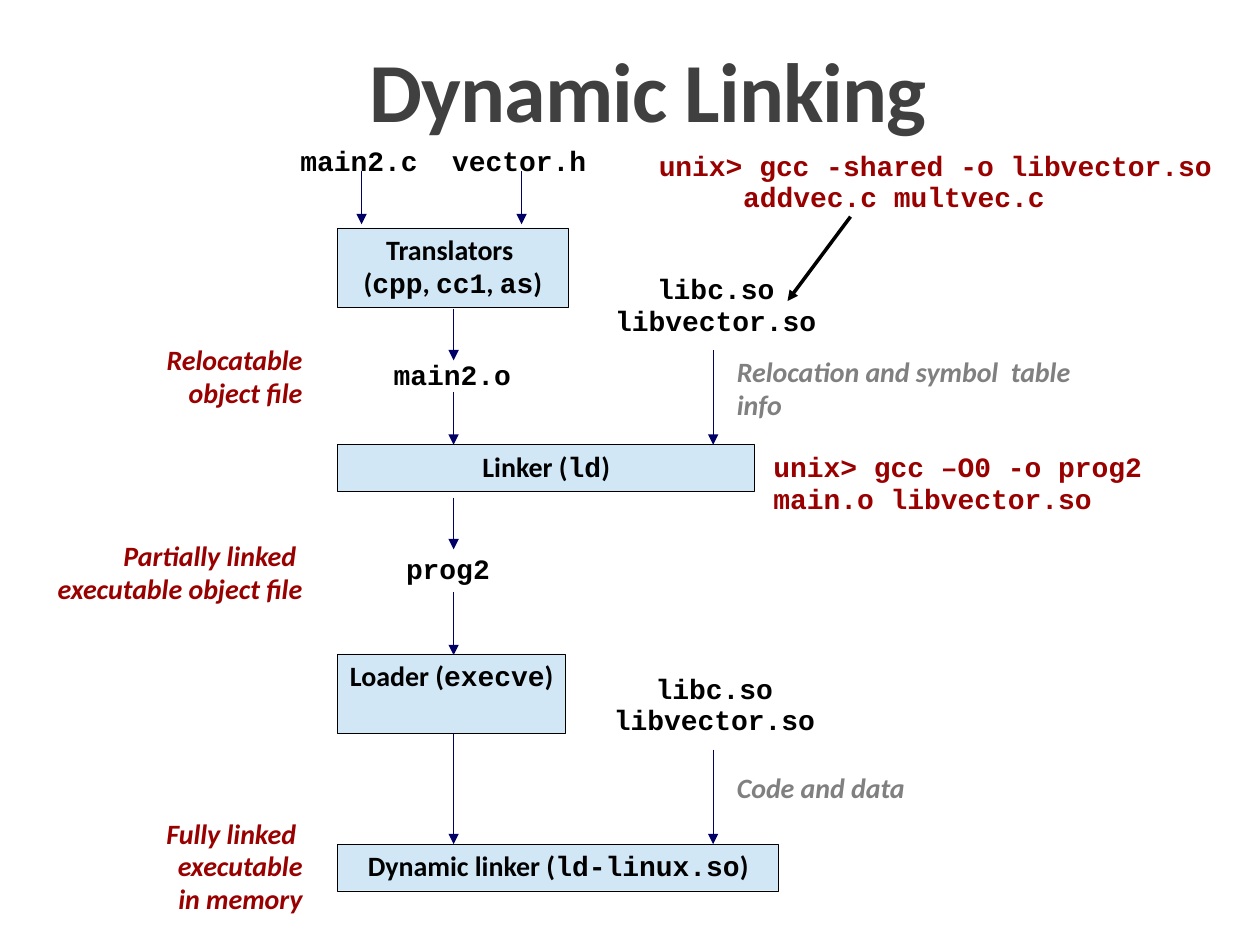
from lxml.etree import SubElement
from pptx import Presentation
from pptx.dml.color import RGBColor
from pptx.enum.shapes import MSO_CONNECTOR, MSO_SHAPE
from pptx.enum.text import MSO_ANCHOR, PP_ALIGN
from pptx.oxml.ns import qn
from pptx.util import Inches, Pt

BODY, CODE = "Calibri", "Courier New"
BLACK, RED, GRAY, NAVY, PALE_BLUE = "000000", "990000", "808080", "000066", "D1E7F6"
LEFT, CENTER, RIGHT = PP_ALIGN.LEFT, PP_ALIGN.CENTER, PP_ALIGN.RIGHT

# Stage boxes share a left edge: top, width, height, lines (code between backticks)
STAGE_LEFT = 2.68
STAGES = [
    (1.81, 1.83, 0.63, ["Translators ", "(`cpp`, `cc1`, `as`)"]),
    (3.53, 3.31, 0.37, ["Linker (`ld`)"]),
    (5.19, 1.81, 0.63, ["Loader (`execve`)"]),
    (6.70, 3.50, 0.37, ["Dynamic linker (`ld-linux.so`)"]),
]
LIBRARIES = ["libc.so", "libvector.so"]
# left, top, width, height, lines
FILES = [
    (2.28, 1.11, 1.14, 0.36, ["main2.c"]),
    (3.48, 1.11, 1.28, 0.36, ["vector.h"]),
    (3.02, 2.81, 1.14, 0.36, ["main2.o"]),
    (3.12, 4.35, 0.87, 0.36, ["prog2"]),
    (4.77, 2.13, 1.82, 0.61, LIBRARIES),
    (4.76, 5.30, 1.82, 0.61, LIBRARIES),
]
COMMANDS = [
    (5.13, 1.15, 4.92, 0.61, ["unix> gcc -shared -o libvector.so", "addvec.c multvec.c"]),
    (6.04, 3.54, 3.17, 0.61, ["unix> gcc –O0 -o prog2", "main.o libvector.so"]),
]
CONTINUATION_INDENT = 0.67
# Notes on the left end at one edge: top, width, height, lines
NOTE_RIGHT = 2.5
FILE_NOTES = [
    (2.68, 1.50, 0.63, ["Relocatable", "object file"]),
    (4.24, 2.75, 0.63, ["Partially linked ", "executable object file"]),
    (6.44, 1.92, 0.89, ["Fully linked ", "executable", "in memory"]),
]
LINK_NOTES = [
    (5.75, 2.78, 2.85, 0.63, ["Relocation and symbol  table info"]),
    (5.75, 6.08, 1.94, 0.37, ["Code and data"]),
]
# x, top, bottom
FLOW_ARROWS = [
    (2.87, 1.36, 1.78), (4.14, 1.36, 1.78),
    (3.60, 2.45, 2.86), (3.60, 3.11, 3.53), (3.60, 3.95, 4.36),
    (3.60, 4.70, 5.20), (3.60, 5.82, 6.70),
    (5.66, 2.78, 3.53), (5.66, 5.95, 6.70),
]


def color(value):
    """Turn a hex string into a colour."""
    return RGBColor.from_string(value)


def write(shape, lines, font=BODY, ink=BLACK, size=16, align=CENTER,
          italic=False, spacing=0.98):
    """Fill a shape with bold lines, setting backticked parts in the code font."""
    frame = shape.text_frame
    frame.word_wrap = align != CENTER
    frame.vertical_anchor = MSO_ANCHOR.TOP
    for index, line in enumerate(lines):
        paragraph = frame.paragraphs[0] if index == 0 else frame.add_paragraph()
        paragraph.alignment = align
        paragraph.line_spacing = spacing
        paragraph.font.size = Pt(size)
        paragraph.font.bold = True
        paragraph.font.italic = italic
        paragraph.font.color.rgb = color(ink)
        paragraph.font.name = font
        for part_index, part in enumerate(line.split("`")):
            run = paragraph.add_run()
            run.text = part
            if part_index % 2:
                run.font.name = CODE


def add_label(slide, left, top, width, height, lines, **style):
    """Add a text box and return it."""
    label = slide.shapes.add_textbox(*map(Inches, (left, top, width, height)))
    write(label, lines, **style)
    return label


def add_stage(slide, top, width, height, lines):
    """Add one processing stage box."""
    stage = slide.shapes.add_shape(
        MSO_SHAPE.RECTANGLE, *map(Inches, (STAGE_LEFT, top, width, height)))
    stage.shadow.inherit = False
    stage.fill.solid()
    stage.fill.fore_color.rgb = color(PALE_BLUE)
    stage.line.color.rgb = color(BLACK)
    stage.line.width = Pt(0.26)
    write(stage, lines)


def add_arrow(slide, start, end, ink=NAVY, width=0.26):
    """Add a straight arrow from start to end."""
    arrow = slide.shapes.add_connector(
        MSO_CONNECTOR.STRAIGHT, *map(Inches, start + end))
    arrow.line.color.rgb = color(ink)
    arrow.line.width = Pt(width)
    SubElement(arrow.line._get_or_add_ln(), qn("a:tailEnd"), type="triangle")
    SubElement(arrow._element.spPr, qn("a:effectLst"))


presentation = Presentation()
presentation.slide_width, presentation.slide_height = Inches(10), Inches(7.5)
slide = presentation.slides.add_slide(presentation.slide_layouts[6])

title = add_label(slide, 0.38, 0.31, 9.53, 0.85, ["Dynamic Linking"],
                  ink="404040", size=48, spacing=0.85)
title.text_frame.vertical_anchor = MSO_ANCHOR.BOTTOM
title.text_frame.paragraphs[0].runs[0].font._element.set("spc", "-50")

for x, top, bottom in FLOW_ARROWS:
    add_arrow(slide, (x, top), (x, bottom))
for stage in STAGES:
    add_stage(slide, *stage)
for file_label in FILES:
    add_label(slide, *file_label, font=CODE, spacing=0.94)
for top, width, height, lines in FILE_NOTES:
    add_label(slide, NOTE_RIGHT - width, top, width, height, lines,
              ink=RED, align=RIGHT, italic=True)
for note in LINK_NOTES:
    add_label(slide, *note, ink=GRAY, align=LEFT, italic=True)

shared_command, program_command = [
    add_label(slide, *command, font=CODE, ink=RED, align=LEFT, spacing=0.94)
    for command in COMMANDS]
continuation = shared_command.text_frame.paragraphs[1]
continuation._p.get_or_add_pPr().set("marL", str(Inches(CONTINUATION_INDENT)))
add_arrow(slide, (6.75, 1.72), (6.25, 2.39), ink=BLACK, width=2)

presentation.save("out.pptx")
